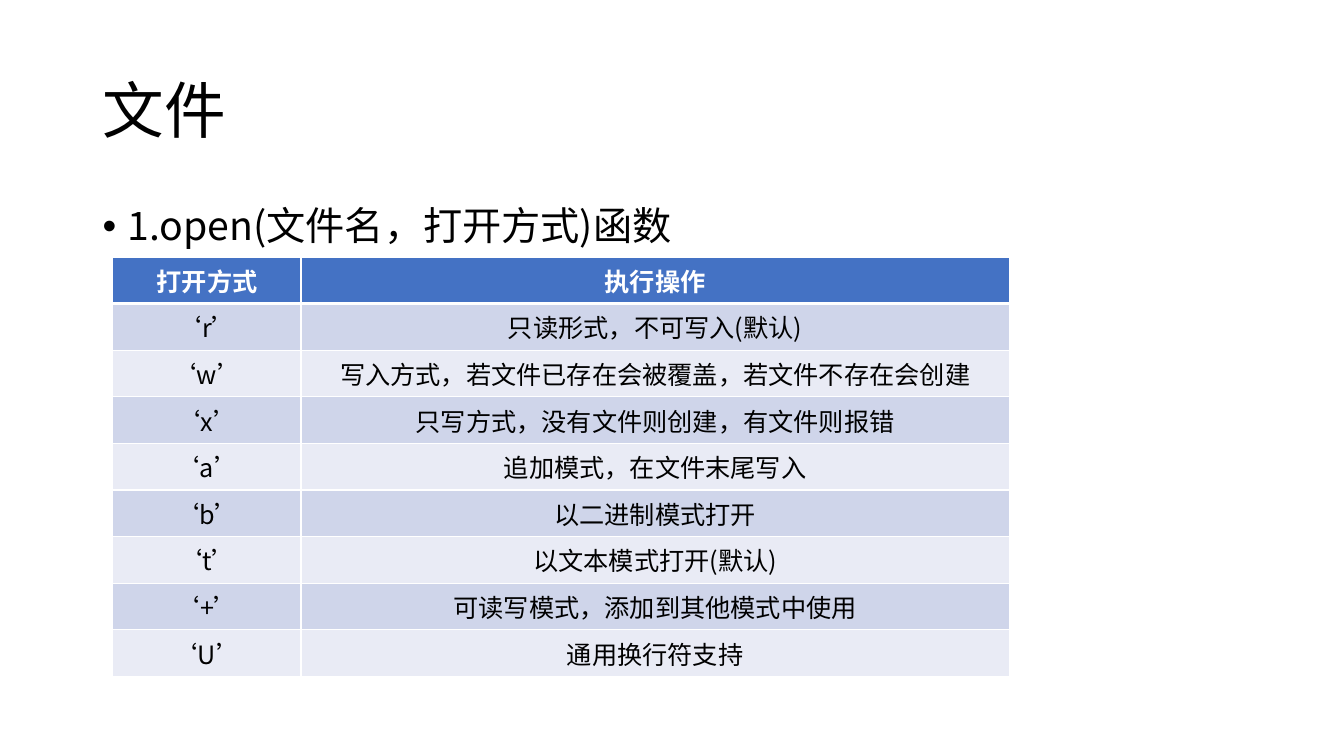
from dataclasses import dataclass

from lxml.etree import SubElement
from pptx import Presentation
from pptx.dml.color import RGBColor
from pptx.enum.text import MSO_ANCHOR, MSO_AUTO_SIZE, PP_ALIGN
from pptx.oxml import parse_xml
from pptx.oxml.ns import qn
from pptx.util import Inches, Pt

DRAWING_NS = "http://schemas.openxmlformats.org/drawingml/2006/main"


@dataclass(frozen=True)
class Theme:
    """Fonts, colours and sizes of the slide."""
    font: str = "Noto Sans CJK SC"
    ink: str = "000000"
    paper: str = "FFFFFF"
    header: str = "4472C4"
    bands: tuple = ("CFD5EA", "E9EBF5")
    title_size: int = 44
    body_size: int = 28
    table_size: int = 18
    rule: int = 1
    header_rule: int = 3


THEME = Theme()
WIDTH, HEIGHT = Inches(13.33), Inches(7.5)
TITLE_AREA = (6.88, 5.33, 86.25, 19.33)
BODY_AREA = (6.88, 26.67, 86.25, 63.47)
TABLE_AREA = (8.4, 34, 66.69, 49.2)
MODE_SHARE = 0.21

OPEN_MODES = [
    ("打开方式", "执行操作"),
    ("‘r’", "只读形式，不可写入(默认)"),
    ("‘w’", "写入方式，若文件已存在会被覆盖，若文件不存在会创建"),
    ("‘x’", "只写方式，没有文件则创建，有文件则报错"),
    ("‘a’", "追加模式，在文件末尾写入"),
    ("‘b’", "以二进制模式打开"),
    ("‘t’", "以文本模式打开(默认)"),
    ("‘+’", "可读写模式，添加到其他模式中使用"),
    ("‘U’", "通用换行符支持"),
]


def area(left, top, width, height):
    """Turn percentages of the slide into lengths."""
    return (int(WIDTH * left / 100), int(HEIGHT * top / 100),
            int(WIDTH * width / 100), int(HEIGHT * height / 100))


def write(frame, text, size, color=THEME.ink, bold=False, align=PP_ALIGN.LEFT,
          spacing=1.0, before=0):
    """Write one formatted paragraph into a text frame and return it."""
    paragraph = frame.paragraphs[0]
    paragraph.alignment = align
    paragraph.line_spacing = spacing
    paragraph.space_before = Pt(before)
    run = paragraph.add_run()
    run.text = text
    run.font.size, run.font.bold = Pt(size), bold
    run.font.color.rgb = RGBColor.from_string(color)
    run.font.name = THEME.font
    SubElement(run.font._element, qn("a:ea"), typeface=THEME.font)
    return paragraph


def fill_placeholder(placeholder, bounds, text, anchor, **text_format):
    """Move a placeholder and write its paragraph."""
    (placeholder.left, placeholder.top,
     placeholder.width, placeholder.height) = area(*bounds)
    frame = placeholder.text_frame
    frame.auto_size = MSO_AUTO_SIZE.NONE
    frame.vertical_anchor = anchor
    return write(frame, text, spacing=0.9, **text_format)


def add_bullet(paragraph, indent):
    """Give a paragraph a round bullet with a hanging indent."""
    properties = paragraph._p.get_or_add_pPr()
    properties.set("marL", str(indent))
    properties.set("indent", str(-indent))
    SubElement(properties, qn("a:buFont"), typeface="Arial")
    SubElement(properties, qn("a:buChar"), char="•")


def rule_cell(cell, top, bottom):
    """Draw the four borders of a cell."""
    properties = cell._tc.get_or_add_tcPr()
    widths = {"L": THEME.rule, "R": THEME.rule, "T": top, "B": bottom}
    for position, (side, width) in enumerate(widths.items()):
        properties.insert(position, parse_xml(
            f'<a:ln{side} xmlns:a="{DRAWING_NS}" w="{Pt(width)}"><a:solidFill>'
            f'<a:srgbClr val="{THEME.paper}"/></a:solidFill></a:ln{side}>'))


def add_mode_table(slide, records):
    """Add the banded table of open modes."""
    left, top, width, height = area(*TABLE_AREA)
    table = slide.shapes.add_table(
        len(records), len(records[0]), left, top, width, height).table
    mode_width = int(width * MODE_SHARE)
    table.columns[0].width, table.columns[1].width = mode_width, width - mode_width
    for row, record in enumerate(records):
        table.rows[row].height = Inches(0.41)
        is_header = row == 0
        fill = THEME.header if is_header else THEME.bands[(row - 1) % 2]
        for column, text in enumerate(record):
            cell = table.cell(row, column)
            cell.fill.solid()
            cell.fill.fore_color.rgb = RGBColor.from_string(fill)
            rule_cell(cell,
                      top=THEME.header_rule if row == 1 else THEME.rule,
                      bottom=THEME.header_rule if is_header else THEME.rule)
            write(cell.text_frame, text, THEME.table_size, bold=is_header,
                  color=THEME.paper if is_header else THEME.ink,
                  align=PP_ALIGN.CENTER)


def main():
    """Build and save the slide."""
    presentation = Presentation()
    presentation.slide_width, presentation.slide_height = WIDTH, HEIGHT
    slide = presentation.slides.add_slide(presentation.slide_layouts[1])
    fill_placeholder(slide.shapes.title, TITLE_AREA, "文件", MSO_ANCHOR.MIDDLE,
                     size=THEME.title_size)
    heading = fill_placeholder(slide.placeholders[1], BODY_AREA,
                               "1.open(文件名，打开方式)函数", MSO_ANCHOR.TOP,
                               size=THEME.body_size, before=10)
    add_bullet(heading, Inches(0.25))
    add_mode_table(slide, OPEN_MODES)
    presentation.save("out.pptx")


main()
